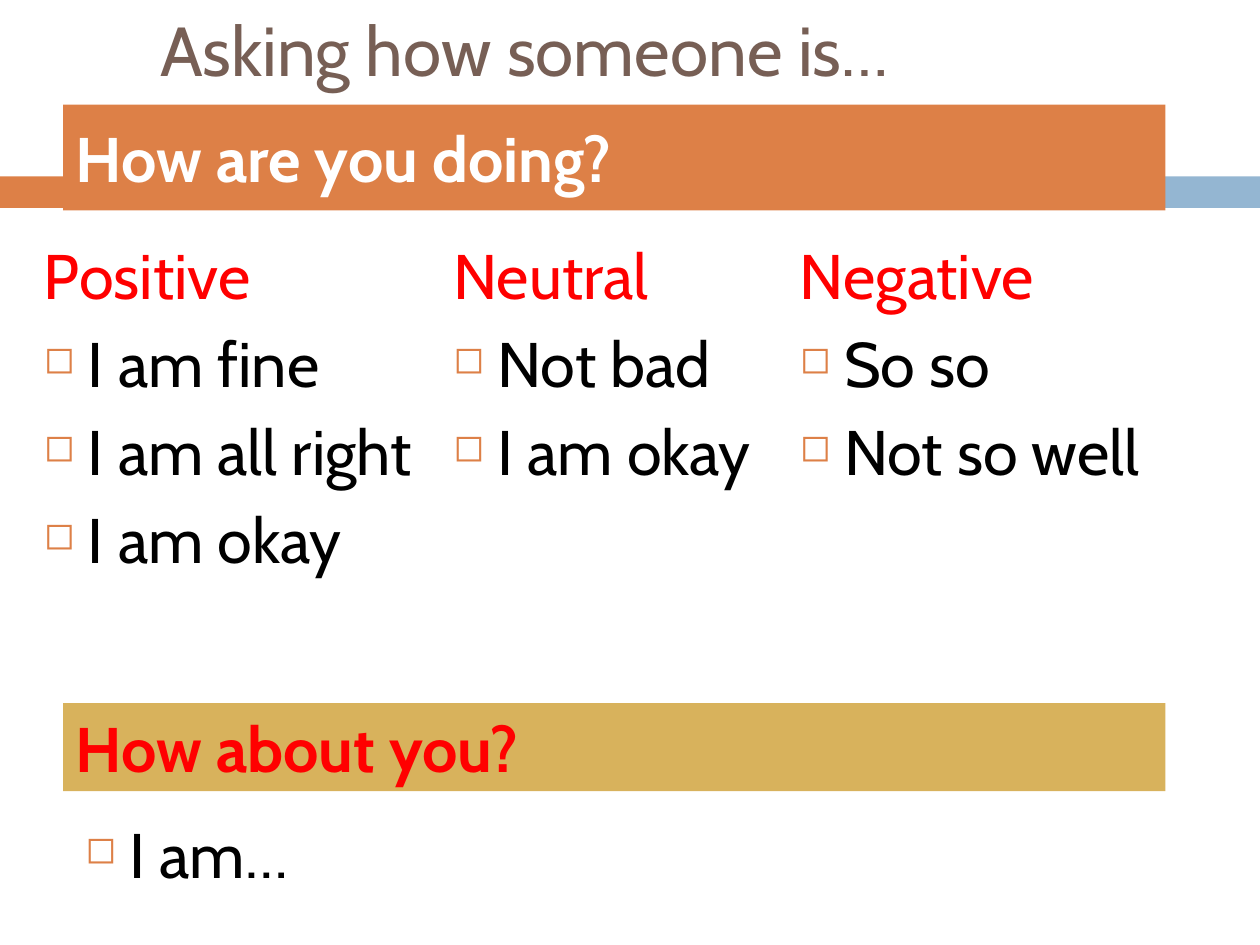
"""Build a slide of phrases for asking how someone is."""
from dataclasses import dataclass

from lxml.etree import SubElement
from pptx import Presentation
from pptx.dml.color import RGBColor
from pptx.enum.shapes import MSO_SHAPE
from pptx.enum.text import MSO_ANCHOR, MSO_AUTO_SIZE, PP_ALIGN
from pptx.oxml.ns import qn
from pptx.util import Inches, Pt


@dataclass(frozen=True)
class Theme:
    font: str = "Cabin"
    title_size: float = 39.6
    body_size: float = 36
    space_before: float = 7
    indent: float = 0.35
    bullet_percent: int = 60
    brown: str = "775F55"
    orange: str = "DD8047"
    blue: str = "94B6D2"
    gold: str = "D8B25C"
    red: str = "FF0000"
    black: str = "000000"
    white: str = "FFFFFF"


THEME = Theme()
WIDTH, HEIGHT = 10, 7.5
TITLE = ("Asking how someone is…", (1.17, 0, 6.69, 0.78))
STRIPES = [((0, 1.4, 0.58, 0.25), THEME.orange), ((0.65, 1.4, 9.35, 0.25), THEME.blue)]
ANSWERS_TOP, ANSWERS_HEIGHT = 1.83, 3.14
ANSWERS = [
    ("Positive", ["I am fine", "I am all right", "I am okay"], 0.25, 3.5),
    ("Neutral", ["Not bad", "I am okay"], 3.5, 2.83),
    ("Negative", ["So so", "Not so well"], 6.25, 3.25),
]
BANNER_LEFT, BANNER_WIDTH = 0.5, 8.75
QUESTIONS = [
    ("How are you doing?", 0.83, 0.84, THEME.orange, THEME.white),
    ("How about you?", 5.58, 0.7, THEME.gold, THEME.red),
]
REPLY = ("I am…", (0.58, 6.42, 8.75, 0.92))


def inches(box):
    return [Inches(length) for length in box]


def apply(target, formats):
    for name, value in formats.items():
        setattr(target, name, value)


def prepare(frame, anchor):
    apply(frame, {"word_wrap": True, "auto_size": MSO_AUTO_SIZE.NONE,
                  "vertical_anchor": anchor})
    return frame


def write(paragraph, text, color, size=THEME.body_size, bold=False):
    paragraph.alignment = PP_ALIGN.LEFT
    run = paragraph.add_run()
    run.text = text
    apply(run.font, {"name": THEME.font, "size": Pt(size), "bold": bold})
    run.font.color.rgb = RGBColor.from_string(color)


def hang(paragraph, bulleted):
    properties = paragraph._p.get_or_add_pPr()
    properties.set("marL", str(Inches(THEME.indent)))
    properties.set("indent", str(-Inches(THEME.indent)))
    if bulleted:
        bullet_color = SubElement(properties, qn("a:buClr"))
        SubElement(bullet_color, qn("a:srgbClr"), val=THEME.orange)
        SubElement(properties, qn("a:buSzPct"), val=str(THEME.bullet_percent * 1000))
        SubElement(properties, qn("a:buChar"), char="◻")


def add_phrases(slide, box, phrases, heading=None):
    frame = prepare(slide.shapes.add_textbox(*inches(box)).text_frame, MSO_ANCHOR.TOP)
    lines = [(heading, False)] if heading else []
    lines += [(phrase, True) for phrase in phrases]
    for index, (text, bulleted) in enumerate(lines):
        paragraph = frame.add_paragraph() if index else frame.paragraphs[0]
        hang(paragraph, bulleted)
        if index:
            paragraph.space_before = Pt(THEME.space_before)
        write(paragraph, text, THEME.black if bulleted else THEME.red)


def add_bar(slide, box, color):
    bar = slide.shapes.add_shape(MSO_SHAPE.RECTANGLE, *inches(box))
    bar.shadow.inherit = False
    bar.fill.solid()
    bar.fill.fore_color.rgb = RGBColor.from_string(color)
    bar.line.fill.background()
    return bar


def add_title(slide):
    text, box = TITLE
    title = slide.shapes.title
    apply(title, dict(zip(("left", "top", "width", "height"), inches(box))))
    frame = prepare(title.text_frame, MSO_ANCHOR.MIDDLE)
    write(frame.paragraphs[0], text, THEME.brown, THEME.title_size)


def main():
    deck = Presentation()
    apply(deck, {"slide_width": Inches(WIDTH), "slide_height": Inches(HEIGHT)})
    slide = deck.slides.add_slide(deck.slide_layouts[5])
    add_title(slide)
    for box, color in STRIPES:
        add_bar(slide, box, color)
    for question, top, height, fill, color in QUESTIONS:
        banner = add_bar(slide, (BANNER_LEFT, top, BANNER_WIDTH, height), fill)
        frame = prepare(banner.text_frame, MSO_ANCHOR.MIDDLE)
        write(frame.paragraphs[0], question, color, bold=True)
    for heading, phrases, left, width in ANSWERS:
        add_phrases(slide, (left, ANSWERS_TOP, width, ANSWERS_HEIGHT), phrases, heading)
    reply, box = REPLY
    add_phrases(slide, box, [reply])
    deck.save("out.pptx")


if __name__ == "__main__":
    main()
